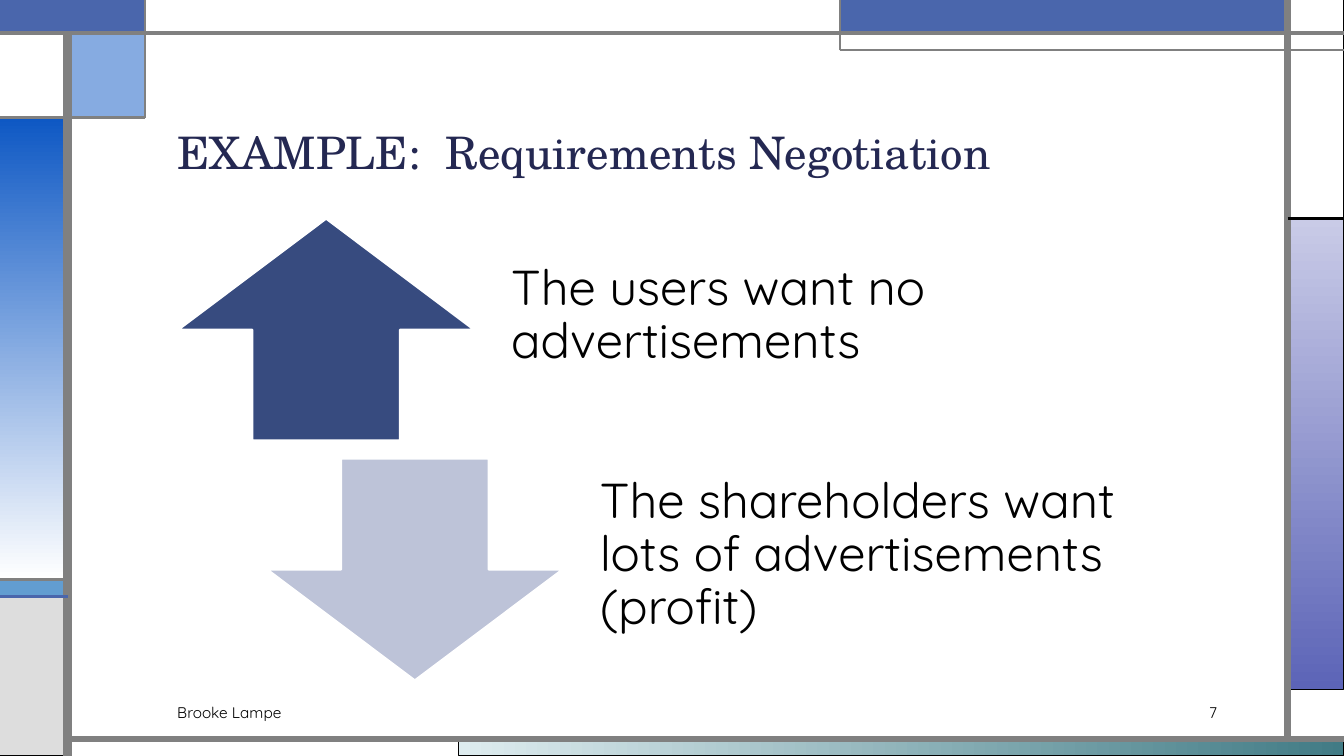
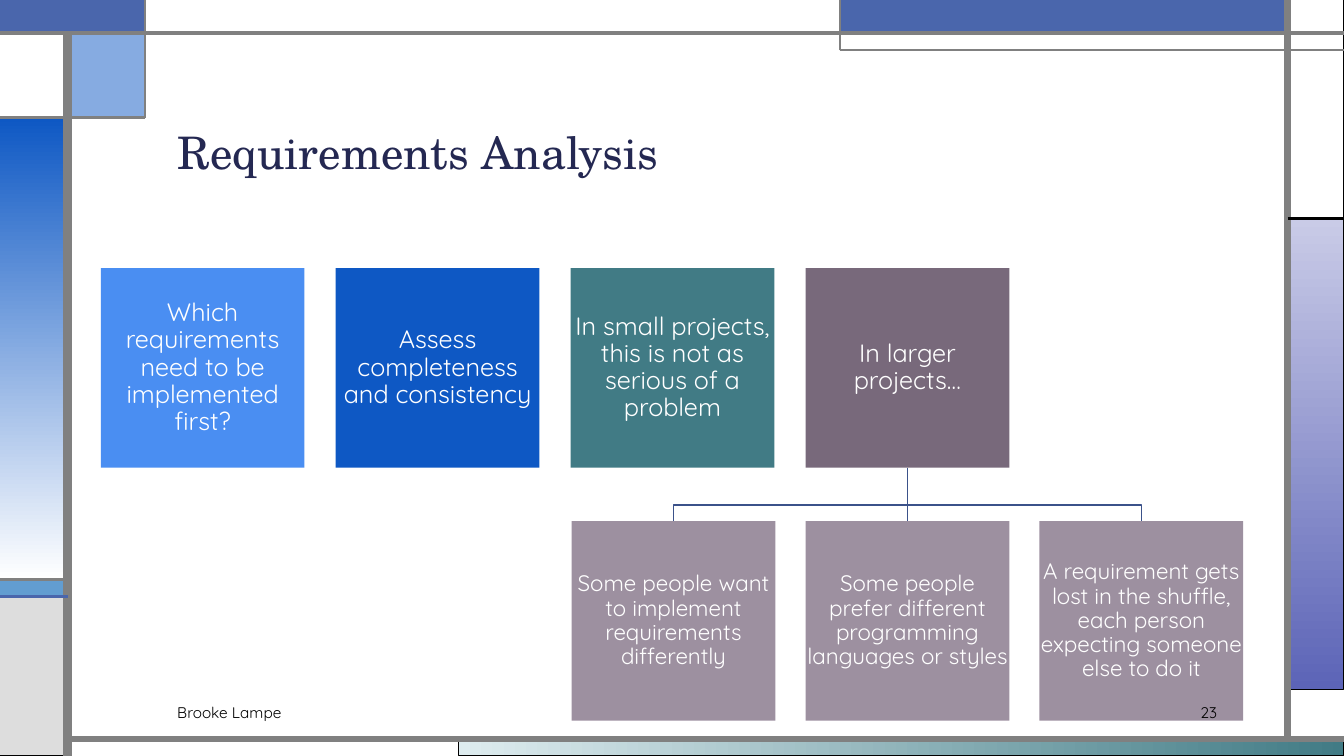
from lxml.etree import SubElement
from pptx import Presentation
from pptx.dml.color import RGBColor
from pptx.enum.shapes import MSO_CONNECTOR as Connector, MSO_SHAPE as Shape
from pptx.enum.text import MSO_ANCHOR as Anchor, MSO_AUTO_SIZE as AutoSize, PP_ALIGN as Align
from pptx.oxml.ns import qn
from pptx.util import Inches, Pt

# Shared colours and fonts
WHITE, BLACK, GREY, SILVER = "FFFFFF", "000000", "808080", "DDDDDD"
NAVY, INDIGO, ROYAL, AZURE = "242852", "4A66AC", "0E58C4", "629DD1"
TEAL, PLUM, MAUVE, SKY = "417B85", "78697B", "9D90A0", "4A8EF2"
BODY_FONT, TITLE_FONT = "Quicksand", "TeX Gyre Schola"

# Grid lines of the frame
WIDTH, HEIGHT = 13.33, 7.5
LEFT, RIGHT, TOP, BOTTOM = 0.67, 12.77, 0.33, 7.33
CORNER_X, CORNER_Y = 1.44, 1.17
BAND_X, BAND_Y = 8.33, 0.5
STRIP_Y, PANEL_Y, SIDE_Y = 5.75, 5.92, 2.17

# Panels: left, top, right, bottom, fill, line colour, line width
# A fill is one colour, or (start, end, angle) for a gradient
PANELS = [
    (4.55, BOTTOM, WIDTH, HEIGHT, ("DEECEF", TEAL, 0), BLACK, 0.75),
    (RIGHT, SIDE_Y, WIDTH, 6.84, ("C9CBE7", "5C64B7", 270), BLACK, 0.75),
    (0, STRIP_Y, LEFT, PANEL_Y, AZURE, BLACK, 0.75),
    (0, PANEL_Y, LEFT, HEIGHT, SILVER, BLACK, 0.75),
    (RIGHT, 0, WIDTH, SIDE_Y, WHITE, BLACK, 0.75),
    (BAND_X, 0, RIGHT, TOP, INDIGO, "297FD5", 0.75),
    (LEFT, TOP, CORNER_X, CORNER_Y, ROYAL, BLACK, 0.75),
    (0, CORNER_Y, LEFT, STRIP_Y, (ROYAL, WHITE, 270), BLACK, 0.75),
    (0, TOP, LEFT, CORNER_Y, WHITE, BLACK, 0.75),
    (0, 0, CORNER_X, TOP, INDIGO, INDIGO, 1.5),
    (CORNER_X, 0, BAND_X, TOP, WHITE, GREY, 0.75),
]
CORNER_PANEL = 6  # the half-transparent one

# Rules: from x, from y, to x, to y, colour, width
RULES = [
    (LEFT, HEIGHT, LEFT, TOP, GREY, 6),
    (LEFT, BOTTOM, WIDTH, BOTTOM, GREY, 4.5),
    (RIGHT, BOTTOM, RIGHT, 0, GREY, 4.5),
    (0, TOP, WIDTH, TOP, GREY, 3),
    (WIDTH, BAND_Y, BAND_X, BAND_Y, GREY, 1.5),
    (BAND_X, BAND_Y, BAND_X, 0, GREY, 1.5),
    (RIGHT, SIDE_Y, WIDTH, SIDE_Y, BLACK, 2.25),
    (CORNER_X, 0, CORNER_X, CORNER_Y, GREY, 1.5),
    (CORNER_X, CORNER_Y, 0, CORNER_Y, GREY, 2.25),
    (LEFT, STRIP_Y, 0, STRIP_Y, GREY, 2.25),
    (LEFT, PANEL_Y, 0, PANEL_Y, INDIGO, 2.25),
]

# Slide content
POSITIONS = [
    (Shape.UP_ARROW, "374B7F", "The users want no advertisements"),
    (Shape.DOWN_ARROW, "BDC3D8", "The shareholders want lots of advertisements (profit)"),
]
TOPICS = [
    ("Which requirements need to be implemented first?", SKY),
    ("Assess completeness and consistency", ROYAL),
    ("In small projects, this is not as serious of a problem", TEAL),
    ("In larger projects…", PLUM),
]
PROBLEMS = [
    "Some people want to implement requirements differently",
    "Some people prefer different programming languages or styles",
    "A requirement gets lost in the shuffle, each person expecting someone else to do it",
]


def rgb(value):
    return RGBColor.from_string(value)


def set_attributes(target, values):
    for name, value in values.items():
        setattr(target, name, value)


def set_line(line, color, width):
    line.color.rgb = rgb(color)
    line.width = Pt(width)


def set_text(shape, text, size, color=BLACK, font=BODY_FONT, align=Align.LEFT,
             anchor=Anchor.MIDDLE, spacing=0.9, insets=(0.1, 0.05, 0.1, 0.05)):
    frame = shape.text_frame
    left, top, right, bottom = map(Inches, insets)
    set_attributes(frame, {
        "text": text, "word_wrap": True, "auto_size": AutoSize.NONE,
        "vertical_anchor": anchor, "margin_left": left, "margin_top": top,
        "margin_right": right, "margin_bottom": bottom,
    })
    paragraph = frame.paragraphs[0]
    set_attributes(paragraph, {"alignment": align, "line_spacing": spacing})
    run_font = paragraph.runs[0].font
    set_attributes(run_font, {"name": font, "size": Pt(size)})
    run_font.color.rgb = rgb(color)


def add_text(slide, text, left, top, width, height, size, **style):
    box = slide.shapes.add_textbox(*map(Inches, (left, top, width, height)))
    set_text(box, text, size, **style)


def add_block(slide, kind, left, top, width, height, fill):
    """Add a preset shape without shadow or outline."""
    shape = slide.shapes.add_shape(kind, *map(Inches, (left, top, width, height)))
    shape.shadow.inherit = False
    shape.line.fill.background()
    if isinstance(fill, tuple):
        start, end, angle = fill
        shape.fill.gradient()
        shape.fill.gradient_angle = angle
        for stop, color, position in zip(shape.fill.gradient_stops, (start, end), (0, 1)):
            stop.color.rgb = rgb(color)
            stop.position = position
    else:
        shape.fill.solid()
        shape.fill.fore_color.rgb = rgb(fill)
    return shape


def set_opacity(shape, percent):
    color = shape.element.spPr.find(qn("a:solidFill")).find(qn("a:srgbClr"))
    SubElement(color, qn("a:alpha")).set("val", str(percent * 1000))


def add_rule(slide, start_x, start_y, end_x, end_y, color, width):
    ends = map(Inches, (start_x, start_y, end_x, end_y))
    rule = slide.shapes.add_connector(Connector.STRAIGHT, *ends)
    set_line(rule.line, color, width)
    SubElement(rule.element.spPr, qn("a:effectLst"))
    return rule


def add_polyline(slide, points, color, width):
    corners = [(Inches(x), Inches(y)) for x, y in points]
    builder = slide.shapes.build_freeform(*corners[0])
    builder.add_line_segments(corners[1:], close=False)
    shape = builder.convert_to_shape()
    shape.shadow.inherit = False
    shape.fill.background()
    set_line(shape.line, color, width)


def add_frame(slide):
    for index, (left, top, right, bottom, fill, color, width) in enumerate(PANELS):
        panel = add_block(slide, Shape.RECTANGLE, left, top, right - left, bottom - top, fill)
        set_line(panel.line, color, width)
        if index == CORNER_PANEL:
            set_opacity(panel, 50)
    for rule in RULES:
        add_rule(slide, *rule)


def add_footer(slide, number):
    add_text(slide, "Brooke Lampe", 1.66, 6.92, 7.5, 0.3, 11, spacing=1)
    add_text(slide, number, 11.09, 6.92, 1.08, 0.3, 11, spacing=1, align=Align.RIGHT)


def add_slide(presentation, title):
    slide = presentation.slides.add_slide(presentation.slide_layouts[5])
    add_frame(slide)
    placeholder = slide.shapes.title
    set_attributes(placeholder, {
        "left": Inches(1.66), "top": Inches(0.58),
        "width": Inches(10.5), "height": Inches(1.25),
    })
    set_text(placeholder, title, 32, color=NAVY, font=TITLE_FONT, anchor=Anchor.BOTTOM)
    return slide


def add_positions(slide):
    """Opposing arrows, each with its statement, stepping to the right."""
    width, height = 2.93, 2.2
    for index, (kind, color, text) in enumerate(POSITIONS):
        left, top = 1.77 + 0.88 * index, 2.17 + 2.38 * index
        arrow = add_block(slide, kind, left, top, width, height, color)
        set_line(arrow.line, WHITE, 1.5)
        add_text(slide, text, left + 3.03, top, 5.88, height, 35,
                 insets=(0.27, 0, 0.27, 0.27))


def add_topic_tree(slide):
    """A row of topics; the last one branches into problems."""
    width, height = 2.02, 1.98
    topic_top, problem_top, branch_y = 2.66, 5.17, 5.01
    topic_lefts = [1 + 2.33 * index for index in range(len(TOPICS))]
    problem_lefts = [topic_lefts[-1] + 2.32 * step for step in (-1, 0, 1)]

    first, last = (left + width / 2 for left in (problem_lefts[0], problem_lefts[-1]))
    add_polyline(slide, [(first, problem_top), (first, branch_y),
                         (last, branch_y), (last, problem_top)], "3B528A", 1)
    center = topic_lefts[-1] + width / 2
    trunk = add_rule(slide, center, topic_top + height, center, problem_top, "3B528A", 1)

    def add_box(text, left, top, color, size):
        box = add_block(slide, Shape.RECTANGLE, left, top, width, height, color)
        set_text(box, text, size, color=WHITE, align=Align.CENTER, insets=(0.01,) * 4)
        return box

    topics = [add_box(text, left, topic_top, color, 18)
              for (text, color), left in zip(TOPICS, topic_lefts)]
    problems = [add_box(text, left, problem_top, MAUVE, 16)
                for text, left in zip(PROBLEMS, problem_lefts)]
    trunk.begin_connect(topics[-1], 2)
    trunk.end_connect(problems[1], 0)


def main():
    presentation = Presentation()
    set_attributes(presentation, {"slide_width": Inches(WIDTH), "slide_height": Inches(HEIGHT)})

    # Each slide: title, number, content
    for title, number, add_content in [
        ("EXAMPLE:  Requirements Negotiation", "7", add_positions),
        ("Requirements Analysis", "23", add_topic_tree),
    ]:
        slide = add_slide(presentation, title)
        add_content(slide)
        add_footer(slide, number)

    presentation.save("out.pptx")


if __name__ == "__main__":
    main()
